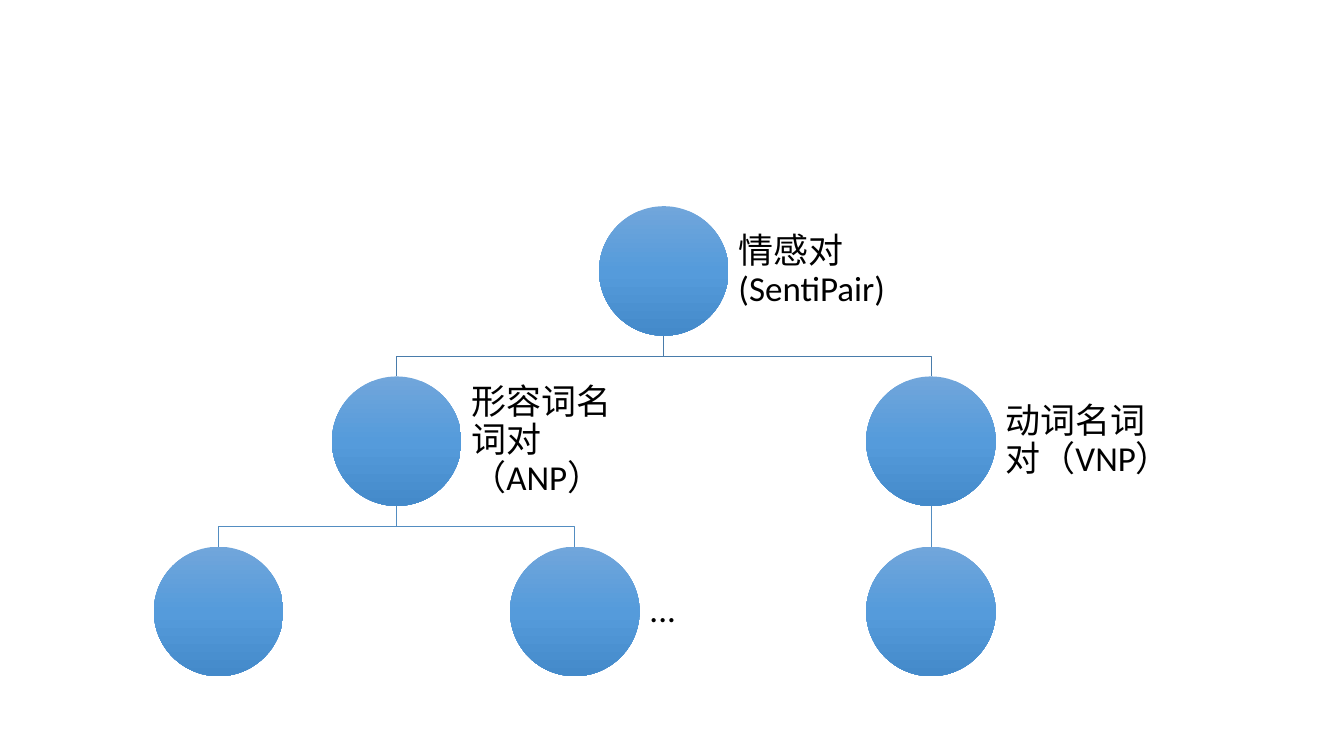
from copy import deepcopy
from dataclasses import dataclass, field

from lxml.etree import SubElement
from pptx import Presentation
from pptx.dml.color import RGBColor
from pptx.enum.shapes import MSO_CONNECTOR, MSO_SHAPE
from pptx.enum.text import MSO_ANCHOR, PP_ALIGN
from pptx.oxml.ns import qn
from pptx.util import Pt


@dataclass(frozen=True)
class Theme:
    font: str = "Calibri"
    label_size: float = 25
    label_color: str = "000000"
    circle_stops: tuple = ((0, "71A6DB"), (0.5, "559BDB"), (1, "448ACA"))
    branch_colors: tuple = ("497CAB", "538DC1")  # by depth of the parent
    branch_width: float = 0.5


@dataclass
class Concept:
    label: str = ""
    children: list = field(default_factory=list)


@dataclass(frozen=True)
class TreeBox:
    left: float
    top: float
    diameter: float
    column_step: float
    level_step: float
    label_width: float


THEME = Theme()
SENTI_PAIR = Concept("情感对(SentiPair)", [
    Concept("形容词名词对（ANP）", [Concept(), Concept("...")]),
    Concept("动词名词对（VNP）", [Concept()]),
])


def place(concept, box, leaf_columns, depth=0):
    """Centre each parent over its children; leaves take successive columns."""
    placed_children = [place(child, box, leaf_columns, depth + 1)
                       for child in concept.children]
    if placed_children:
        center = (placed_children[0]["center"] + placed_children[-1]["center"]) / 2
    else:
        center = box.left + box.diameter / 2 + next(leaf_columns) * box.column_step
    return {"label": concept.label, "center": center, "depth": depth,
            "top": box.top + depth * box.level_step, "children": placed_children}


def draw_branch(slide, parent, child, box):
    start_x, start_y = parent["center"], parent["top"] + box.diameter
    end_x, end_y = child["center"], child["top"]
    if start_x == end_x:
        branch = slide.shapes.add_connector(
            MSO_CONNECTOR.STRAIGHT, Pt(start_x), Pt(start_y), Pt(end_x), Pt(end_y))
        SubElement(branch.element.spPr, qn("a:effectLst"))
    else:
        middle_y = (start_y + end_y) / 2
        outline = slide.shapes.build_freeform(Pt(start_x), Pt(start_y))
        outline.add_line_segments(
            [(Pt(start_x), Pt(middle_y)), (Pt(end_x), Pt(middle_y)),
             (Pt(end_x), Pt(end_y))], close=False)
        branch = outline.convert_to_shape()
        branch.fill.background()
        branch.shadow.inherit = False
    branch.line.color.rgb = RGBColor.from_string(THEME.branch_colors[parent["depth"]])
    branch.line.width = Pt(THEME.branch_width)


def draw_circle(slide, node, box):
    circle = slide.shapes.add_shape(
        MSO_SHAPE.OVAL, Pt(node["center"] - box.diameter / 2), Pt(node["top"]),
        Pt(box.diameter), Pt(box.diameter))
    circle.shadow.inherit = False
    circle.line.fill.background()
    circle.fill.gradient()
    circle.fill.gradient_angle = 270
    # The default gradient has two stops; the circles use three
    stop_list = circle.element.spPr.find(f".//{qn('a:gsLst')}")
    stop_list.append(deepcopy(stop_list[-1]))
    for stop, (position, color) in zip(circle.fill.gradient_stops, THEME.circle_stops):
        stop.position = position
        stop.color.rgb = RGBColor.from_string(color)


def draw_label(slide, node, box):
    label = slide.shapes.add_textbox(
        Pt(node["center"] + box.diameter / 2), Pt(node["top"]),
        Pt(box.label_width), Pt(box.diameter))
    frame = label.text_frame
    frame.word_wrap = True
    frame.vertical_anchor = MSO_ANCHOR.MIDDLE
    frame.margin_left = frame.margin_right = Pt(7.2)
    frame.margin_top = frame.margin_bottom = Pt(7.2)
    paragraph = frame.paragraphs[0]
    paragraph.alignment = PP_ALIGN.LEFT
    paragraph.line_spacing = 0.9
    run = paragraph.add_run()
    run.text = node["label"]
    run.font.name = THEME.font
    run.font.size = Pt(THEME.label_size)
    run.font.color.rgb = RGBColor.from_string(THEME.label_color)


def draw_node(slide, node, box):
    # Branches go behind the circles
    for child in node["children"]:
        draw_branch(slide, node, child, box)
    draw_circle(slide, node, box)
    if node["label"]:
        draw_label(slide, node, box)
    for child in node["children"]:
        draw_node(slide, child, box)


def concept_tree(slide, root, box):
    leaf_columns = iter(range(100))
    draw_node(slide, place(root, box, leaf_columns), box)


def main():
    deck = Presentation()
    deck.slide_width, deck.slide_height = Pt(960), Pt(540)
    slide = deck.slides.add_slide(deck.slide_layouts[6])

    # Tree of sentiment pairs
    concept_tree(slide, SENTI_PAIR, TreeBox(
        left=109.9, top=147.3, diameter=92.5, column_step=254.4,
        level_step=121.6, label_width=138.8))

    deck.save("out.pptx")


if __name__ == "__main__":
    main()
